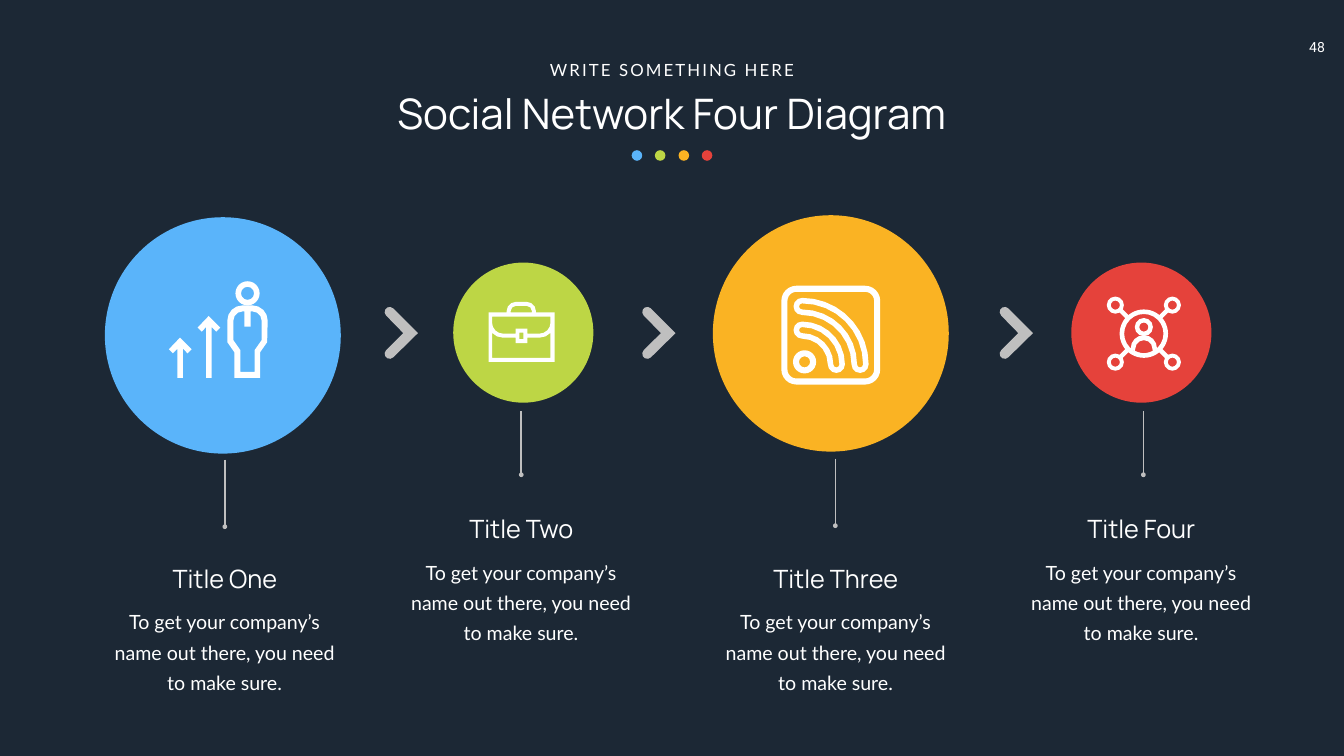
from collections import namedtuple
from math import cos, radians, sin, sqrt

from lxml.etree import SubElement
from pptx import Presentation
from pptx.dml.color import RGBColor
from pptx.enum.shapes import MSO_CONNECTOR, MSO_SHAPE
from pptx.enum.text import PP_ALIGN
from pptx.oxml.ns import qn
from pptx.util import Pt

EMU_PER_PX = 9144
WHITE, GREY, NAVY = "FFFFFF", "BFBFBF", "1C2835"
BLUE, GREEN, ORANGE, RED = "5AB4FA", "BDD645", "FAB323", "E5423B"
BODY = "To get your company’s name out there, you need to make sure."

Step = namedtuple("Step", "title color circle stem text icon icon_at")


def px(length):
    """Turn a length in px (100 to the inch) into EMU."""
    return round(length * EMU_PER_PX)


def rgb(value):
    """Turn a hex string into a colour."""
    return RGBColor.from_string(value)


def paint(shape, color):
    """Give a shape a plain fill without line or shadow."""
    shape.shadow.inherit = False
    shape.fill.solid()
    shape.fill.fore_color.rgb = rgb(color)
    shape.line.fill.background()


def add_circle(slide, left, top, width, height, color):
    """Add a filled ellipse."""
    box = [px(value) for value in (left, top, width, height)]
    paint(slide.shapes.add_shape(MSO_SHAPE.OVAL, *box), color)


def add_ring(slide, x, y, outer, inner):
    """Add a white ring around a centre."""
    box = [px(value) for value in (x - outer, y - outer, 2 * outer, 2 * outer)]
    shape = slide.shapes.add_shape(MSO_SHAPE.DONUT, *box)
    shape.adjustments[0] = (outer - inner) / (2 * outer)
    paint(shape, WHITE)


def add_line(slide, ends, color, width):
    """Add a straight line and return it."""
    connector = slide.shapes.add_connector(MSO_CONNECTOR.STRAIGHT, *[px(end) for end in ends])
    connector.line.color.rgb = rgb(color)
    connector.line.width = width
    SubElement(connector._element.spPr, qn("a:effectLst"))
    return connector


def add_text(slide, box, text, font, size, leading=None, tracking=None, margin=10):
    """Add a centred white text box."""
    text_frame = slide.shapes.add_textbox(*[px(value) for value in box]).text_frame
    text_frame.word_wrap = True
    text_frame.margin_left = text_frame.margin_right = px(margin)
    text_frame.margin_top = text_frame.margin_bottom = px(margin / 2)
    text_frame.text = text
    paragraph = text_frame.paragraphs[0]
    paragraph.alignment = PP_ALIGN.CENTER
    if leading:
        paragraph.line_spacing = Pt(leading)
    run = paragraph.runs[0]
    run.font.name, run.font.size = font, Pt(size)
    run.font.color.rgb = rgb(WHITE)
    if tracking:
        run._r.get_or_add_rPr().set("spc", str(tracking * 100))


def add_outline(slide, left, top, contours, color=WHITE):
    """Add one filled freeform; inner contours become holes."""
    placed = [[(px(left + x), px(top + y)) for x, y in points] for points in contours]
    builder = slide.shapes.build_freeform(*placed[0][0])
    builder.add_line_segments(placed[0][1:])
    for points in placed[1:]:
        builder.move_to(*points[0])
        builder.add_line_segments(points[1:])
    paint(builder.convert_to_shape(), color)


def arc(x, y, radius, start, end):
    """List points along an arc, more of them on larger radii."""
    steps = max(2, round(abs(end - start) * sqrt(radius) / 120))
    angles = [radians(start + (end - start) * i / steps) for i in range(steps + 1)]
    return [(x + radius * cos(angle), y + radius * sin(angle)) for angle in angles]


def add_growth_icon(slide, left, top):
    """Draw two rising arrows beside a person."""
    for x, y, height in ((0, 112, 80), (57, 69, 123)):
        arrow = [(22, 0), (0, 23), (8, 31), (17, 22), (17, height),
                 (28, height), (28, 22), (37, 31), (45, 23)]
        add_outline(slide, left + x, top + y, [arrow])
    body = (arc(146, 78, 30, 180, 270) + arc(166, 78, 30, 270, 360)
            + [(195, 121), (181, 141), (181, 192), (130, 192), (130, 141), (116, 121)])
    inside = (arc(146, 78, 18, 180, 270) + [(150, 60), (150, 90), (162, 90), (162, 60)]
              + arc(166, 78, 18, 270, 360)
              + [(184, 117), (170, 137), (170, 180), (142, 180), (142, 137), (128, 117)])
    add_outline(slide, left, top, [body, inside])
    add_ring(slide, left + 156, top + 24, 24, 13)


def add_briefcase_icon(slide, left, top):
    """Draw a briefcase with a clasp."""
    case = ([(36, 21), (0, 21), (0, 119), (131, 119), (131, 21), (94, 21)]
            + arc(76, 18, 18, 360, 270) + arc(54, 18, 18, 270, 180))
    handle = [(44, 21)] + arc(54, 18, 10, 180, 270) + arc(76, 18, 10, 270, 360) + [(86, 21)]
    flap = (arc(29, 41, 22, 90, 180) + [(7, 29), (123, 29)] + arc(101, 41, 22, 0, 90)
            + [(77, 63), (77, 53), (54, 53), (54, 63)])
    clasp = [(61, 61), (69, 61), (69, 74), (61, 74)]
    front = ([(123, 111), (7, 111)] + arc(29, 41, 30, 137, 90)
             + [(54, 71), (54, 82), (77, 82), (77, 71)] + arc(101, 41, 30, 90, 43))
    add_outline(slide, left, top, [case, handle, flap, clasp, front])


def add_feed_icon(slide, left, top):
    """Draw a feed sign: a dot and two bands in a rounded frame."""
    def band(radius, half):
        return (arc(41, 156, radius + half, 270, 360) + arc(41 + radius, 156, half, 0, 180)
                + arc(41, 156, radius - half, 360, 270) + arc(41, 156 - radius, half, 90, 270))

    box = [px(value) for value in (left + 6, top + 6, 184, 184)]
    frame = slide.shapes.add_shape(MSO_SHAPE.ROUNDED_RECTANGLE, *box)
    frame.adjustments[0] = 0.13
    frame.shadow.inherit = False
    frame.fill.background()
    frame.line.color.rgb = rgb(WHITE)
    frame.line.width = px(12)
    for radius in (68, 115):
        add_outline(slide, left, top, [band(radius, 17), band(radius, 6)])
    add_ring(slide, left + 46, top + 151, 23, 11)


def add_network_icon(slide, left, top):
    """Draw a person in a hub joined to four nodes."""
    hub = 74
    x, y = left + hub, top + hub
    for angle in range(45, 405, 90):
        across, down = cos(radians(angle)), sin(radians(angle))
        ends = [center + reach * turn for reach in (44, 67)
                for center, turn in ((x, across), (y, down))]
        add_line(slide, ends, WHITE, px(9))
        add_ring(slide, x + 80 * across, y + 80 * down, 17, 9)
    add_ring(slide, x, y, 48, 39)
    add_ring(slide, x, y - 13, 18, 9)
    shoulders = arc(hub, 103, 26, 180, 360) + arc(hub, hub, 40, 48, 132)
    torso = arc(hub, 104, 17, 180, 360) + arc(hub, hub, 39, 63, 117)
    add_outline(slide, left, top, [shoulders, torso])


def add_chevron(slide, left, top):
    """Draw a round-ended chevron pointing right."""
    points = ([(38, 54)] + arc(11, 95, 10, 225, 45) + [(67, 54)]
              + arc(11, 12, 10, -45, -225))
    add_outline(slide, left, top, [points], GREY)


def add_stem(slide, x, top, height):
    """Draw a vertical line ending in a dot."""
    stem = add_line(slide, (x, top, x, top + height), GREY, Pt(2.25))
    SubElement(stem.line._get_or_add_ln(), qn("a:tailEnd"), type="oval")


def add_header(slide, left, top):
    """Place the kicker, the title and the row of dots."""
    add_text(slide, (left, top + 55, 1509, 111), "Social Network Four Diagram", "Manrope", 60)
    add_text(slide, (left + 498, top, 514, 50), "WRITE SOMETHING HERE", "Lato", 24, tracking=3)
    for index, color in enumerate((BLUE, GREEN, ORANGE, RED)):
        add_circle(slide, left + 675 + round(index * 46.4), top + 185, 21, 21, color)


def add_step(slide, step):
    """Place one step: circle, icon, stem, title and body."""
    add_circle(slide, *step.circle, step.color)
    step.icon(slide, *step.icon_at)
    add_stem(slide, *step.stem)
    left, top = step.text
    add_text(slide, (left + 28, top + 81, 463, 185), BODY, "Lato", 28, leading=43)
    add_text(slide, (left, top, 520, 71), step.title, "Manrope", 36)


STEPS = (
    Step("Title One", BLUE, (208, 431, 468, 469), (446, 912, 133), (186, 1112),
         add_growth_icon, (335, 558)),
    Step("Title Two", GREEN, (899, 521, 278, 278), (1034, 816, 126), (774, 1014),
         add_briefcase_icon, (969, 599)),
    Step("Title Three", ORANGE, (1414, 427, 468, 469), (1657, 910, 133), (1398, 1112),
         add_feed_icon, (1550, 567)),
    Step("Title Four", RED, (2125, 521, 278, 278), (2268, 816, 126), (2004, 1014),
         add_network_icon, (2195, 588)),
)


def main():
    """Build and save the slide."""
    presentation = Presentation()
    presentation.slide_width, presentation.slide_height = px(2666), px(1500)
    slide = presentation.slides.add_slide(presentation.slide_layouts[6])
    slide.background.fill.solid()
    slide.background.fill.fore_color.rgb = rgb(NAVY)
    add_text(slide, (2562, 67, 101, 54), "48", "Roboto", 20, margin=20)
    add_header(slide, 578, 113)
    for left in (762, 1273, 1982):
        add_chevron(slide, left, 607)
    for step in STEPS:
        add_step(slide, step)
    presentation.save("out.pptx")


if __name__ == "__main__":
    main()
